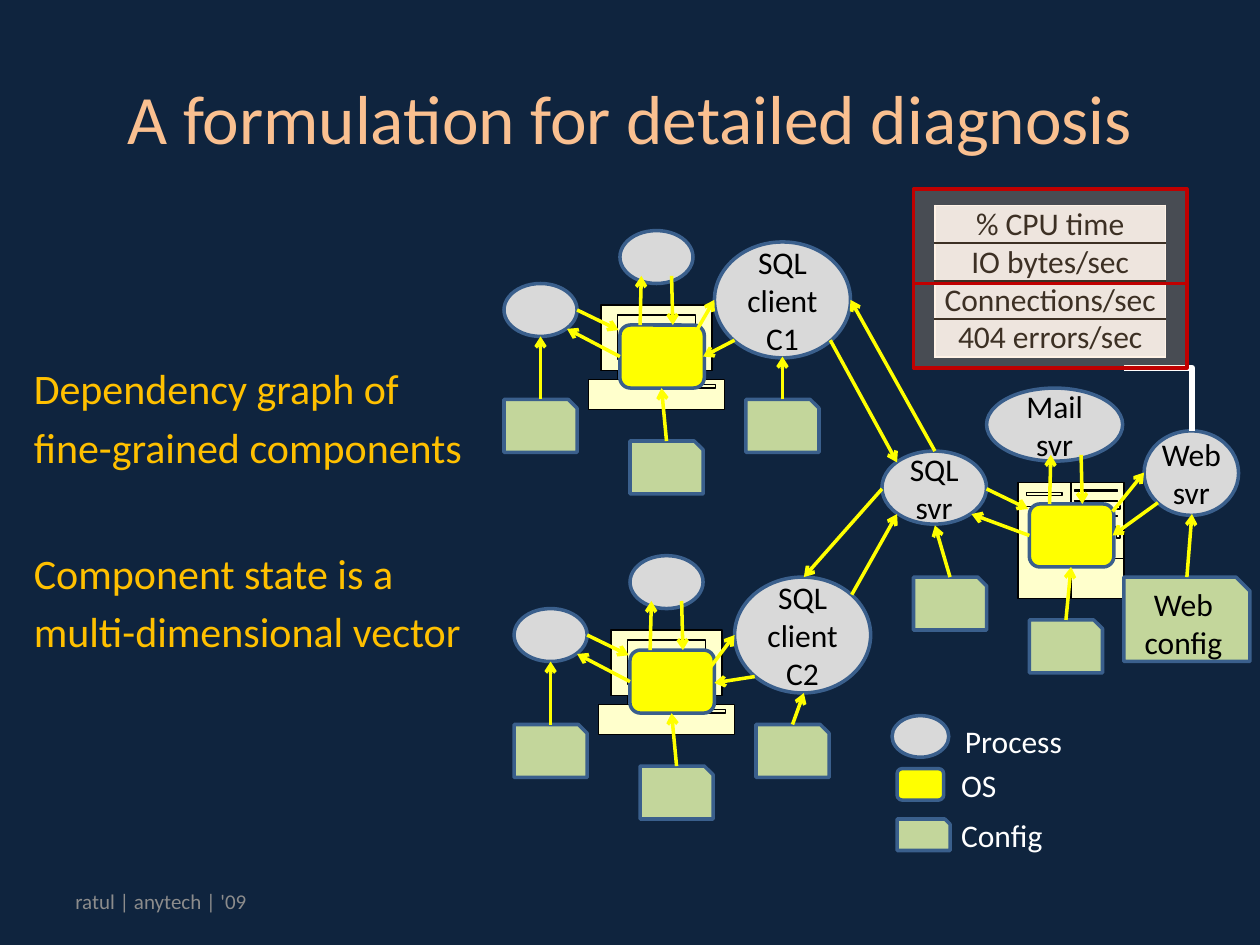
from dataclasses import dataclass

from lxml import etree
from pptx import Presentation
from pptx import util as u
from pptx.dml.color import RGBColor
from pptx.enum import shapes, text
from pptx.oxml.ns import qn

COLORS = {
    "background": "0F243E", "title": "FAC090", "body": "FFC000", "footer": "8C8C8C",
    "process": "D9D9D9", "os": "FFFF00", "config": "C3D69B", "outline": "3A5F8C",
    "machine": "FFFFCC", "cell": "E9EDF4", "group": "FFCC99", "group_line": "C00000",
    "black": "000000", "white": "FFFFFF",
}
PRESETS = {
    "process": shapes.MSO_SHAPE.OVAL,
    "os": shapes.MSO_SHAPE.ROUNDED_RECTANGLE,
    "config": shapes.MSO_SHAPE.SNIP_1_RECTANGLE,
}


@dataclass
class Node:
    kind: str
    left: float
    top: float
    width: float = 0.58
    height: float = 0.42
    label: str = ""


@dataclass
class Edge:
    x1: float
    y1: float
    x2: float
    y2: float


@dataclass
class Label:
    words: str
    left: float
    top: float
    width: float
    height: float
    size: float
    color: str


def rgb(name: str) -> RGBColor:
    return RGBColor.from_string(COLORS[name])


def paint(shape, fill: str, line: str, width: float) -> None:
    shape.shadow.inherit = False
    shape.fill.solid()
    shape.fill.fore_color.rgb = rgb(fill)
    shape.line.color.rgb = rgb(line)
    shape.line.width = u.Pt(width)


def format_text(frame, size: float, color: str, align=None) -> None:
    for paragraph in frame.paragraphs:
        paragraph.alignment = align
        for run in paragraph.runs:
            run.font.name = "Calibri"
            run.font.size = u.Pt(size)
            run.font.color.rgb = rgb(color)


def draw_label(slide, label: Label, wrap: bool = True):
    box = slide.shapes.add_textbox(u.Inches(label.left), u.Inches(label.top),
                                   u.Inches(label.width), u.Inches(label.height))
    frame = box.text_frame
    frame.word_wrap = wrap
    frame.text = label.words
    format_text(frame, label.size, label.color)
    return frame


def draw_node(slide, node: Node, dx: float = 0, dy: float = 0) -> None:
    shape = slide.shapes.add_shape(
        PRESETS[node.kind], u.Inches(node.left + dx), u.Inches(node.top + dy),
        u.Inches(node.width), u.Inches(node.height))
    paint(shape, node.kind, "outline", 2)
    if node.label:
        frame = shape.text_frame
        frame.word_wrap = True
        frame.vertical_anchor = text.MSO_ANCHOR.MIDDLE
        if node.kind == "process":
            frame.margin_left = frame.margin_right = 0
            frame.margin_top = frame.margin_bottom = 0
        frame.text = node.label
        format_text(frame, 18, "black", text.PP_ALIGN.CENTER)


def draw_connector(slide, kind, edge: Edge, color: str, width: float):
    link = slide.shapes.add_connector(kind, u.Inches(edge.x1), u.Inches(edge.y1),
                                      u.Inches(edge.x2), u.Inches(edge.y2))
    link.line.color.rgb = rgb(color)
    link.line.width = u.Pt(width)
    etree.SubElement(link._element.spPr, qn("a:effectLst"))
    return link


def draw_edge(slide, edge: Edge, dx: float = 0, dy: float = 0) -> None:
    moved = Edge(edge.x1 + dx, edge.y1 + dy, edge.x2 + dx, edge.y2 + dy)
    link = draw_connector(slide, shapes.MSO_CONNECTOR.STRAIGHT, moved, "os", 2)
    etree.SubElement(link.line._get_or_add_ln(), qn("a:tailEnd"), type="arrow")


def box_points(left: float, top: float, width: float, height: float) -> list:
    right, bottom = left + width, top + height
    return [(left, top), (right, top), (right, bottom), (left, bottom), (left, top)]


def draw_contours(slide, contours: list, filled: bool, dx: float = 0, dy: float = 0) -> None:
    moved = [[(u.Inches(x + dx), u.Inches(y + dy)) for x, y in c] for c in contours]
    builder = slide.shapes.build_freeform(*moved[0][0], scale=1.0)
    builder.add_line_segments(moved[0][1:], close=filled)
    for contour in moved[1:]:
        builder.move_to(*contour[0])
        builder.add_line_segments(contour[1:], close=filled)
    shape = builder.convert_to_shape()
    paint(shape, "machine", "black", 0.75)
    if not filled:
        shape.fill.background()


def draw_server(slide) -> None:
    draw_contours(slide, [box_points(8.08, 3.83, 0.84, 0.92)], True)
    slots = [box_points(8.53, y, 0.34, 0.01) for y in (3.89, 3.97, 4.09, 4.18)]
    lights = [box_points(8.53 + 0.11 * i, y, 0.03, 0.03) for y in (4.01, 4.24) for i in range(4)]
    panels = [[(8.08, 4.02), (8.5, 4.02), (8.5, 4.43), (8.92, 4.43)],
              [(8.5, 3.83), (8.5, 4.02)], [(8.5, 4.43), (8.5, 4.75)]]
    draw_contours(slide, [box_points(8.15, 3.91, 0.28, 0.02)] + slots + lights + panels, False)


def draw_desktop(slide, dx: float, dy: float) -> None:
    body = [(5.52, 3.01), (5.52, 2.94), (5.65, 2.94), (5.65, 2.42), (4.77, 2.42), (4.77, 2.94),
            (4.9, 2.94), (4.9, 3.01), (4.67, 3.01), (4.67, 3.25), (5.75, 3.25), (5.75, 3.01)]
    draw_contours(slide, [body], True, dx, dy)
    parts = [box_points(4.9, 2.94, 0.62, 0.07), box_points(4.9, 2.5, 0.62, 0.35),
             box_points(5.37, 3.05, 0.31, 0.03)]
    draw_contours(slide, parts, False, dx, dy)


def draw_counters(slide, counters: list) -> None:
    frame = slide.shapes.add_table(len(counters), 1, u.Inches(7.42), u.Inches(1.63),
                                   u.Inches(1.83), u.Inches(0.3 * len(counters)))
    table = frame.table
    table.first_row = table.horz_banding = False
    for i, counter in enumerate(counters):
        cell = table.cell(i, 0)
        cell.margin_left = cell.margin_right = cell.margin_top = cell.margin_bottom = 0
        cell.vertical_anchor = text.MSO_ANCHOR.MIDDLE
        cell.text = counter
        format_text(cell.text_frame, 18, "black", text.PP_ALIGN.CENTER)
        borders = {"lnL": "white", "lnR": "white", "lnT": "black" if i else "white",
                   "lnB": "black" if i < len(counters) - 1 else "white"}
        for side, color in borders.items():
            line = etree.SubElement(cell._tc.get_or_add_tcPr(), qn(f"a:{side}"), w="12700")
            solid = etree.SubElement(line, qn("a:solidFill"))
            etree.SubElement(solid, qn("a:srgbClr"), val=COLORS[color])
        cell.fill.solid()
        cell.fill.fore_color.rgb = rgb("cell")


def draw_counter_group(slide, top: float, height: float) -> None:
    group = slide.shapes.add_shape(shapes.MSO_SHAPE.RECTANGLE, u.Inches(7.25), u.Inches(top),
                                   u.Inches(2.17), u.Inches(height))
    paint(group, "group", "group_line", 2)
    tint = group._element.spPr.find(qn("a:solidFill"))[0]
    etree.SubElement(tint, qn("a:alpha"), val="24000")


CLIENT_OFFSETS = [(0, 0), (0.08, 2.58)]
CLIENT_NODES = [Node("os", 4.92, 2.58, 0.67, 0.5), Node("process", 4, 2.25),
                Node("process", 4.92, 1.83), Node("config", 5, 3.5),
                Node("config", 5.92, 3.17), Node("config", 4, 3.17)]
CLIENT_EDGES = [Edge(5.08, 2.58, 5.09, 2.19), Edge(5.33, 2.19, 5.34, 2.58),
                Edge(4.58, 2.46, 4.91, 2.62), Edge(4.92, 2.83, 4.5, 2.61),
                Edge(4.29, 3.17, 4.29, 2.67), Edge(5.29, 3.5, 5.25, 3.08)]
NODES = [Node("os", 8.17, 4, 0.67, 0.5), Node("process", 7, 3.58, 0.83, 0.58, "SQL svr"),
         Node("process", 7.83, 3.08, 1.08, 0.58, "Mail\vsvr"),
         Node("process", 9.08, 3.42, 0.75, 0.67, "Web svr"), Node("config", 8.17, 4.92),
         Node("config", 8.92, 4.58, 1, 0.67, "Web config"), Node("config", 7.25, 4.58),
         Node("process", 5.67, 1.92, 1.08, 0.92, "SQL client C1"),
         Node("process", 5.83, 4.58, 1.08, 0.92, "SQL client C2"),
         Node("process", 7.08, 5.68, 0.45, 0.33), Node("os", 7.12, 6.1, 0.37, 0.25),
         Node("config", 7.12, 6.5, 0.42, 0.25)]
EDGES = [Edge(8.83, 4.06, 9.08, 3.75), Edge(9.19, 3.99, 8.83, 4.25), Edge(8.33, 4, 8.34, 3.61),
         Edge(8.58, 3.61, 8.59, 4), Edge(7.83, 3.88, 8.16, 4.04), Edge(8.17, 4.25, 7.71, 4.08),
         Edge(7.54, 4.58, 7.42, 4.17), Edge(9.42, 4.58, 9.46, 4.08), Edge(8.46, 4.92, 8.5, 4.5),
         Edge(5.42, 2.81, 5.67, 2.38), Edge(5.83, 2.7, 5.58, 2.83), Edge(6.21, 3.17, 6.21, 2.83),
         Edge(5.5, 5.48, 5.83, 5.04), Edge(5.99, 5.37, 5.67, 5.42), Edge(6.29, 5.75, 6.38, 5.5),
         Edge(7.42, 3.58, 6.75, 2.38), Edge(6.59, 2.7, 7.12, 3.67),
         Edge(7, 3.88, 6.38, 4.58), Edge(6.76, 4.72, 7.12, 4.08)]
LEGEND = [Label("Process", 7.56, 5.68, 0.98, 0.4, 18, "white"),
          Label("OS", 7.53, 6.03, 0.48, 0.4, 18, "white"),
          Label("Config", 7.53, 6.43, 0.86, 0.4, 18, "white")]


def main() -> None:
    deck = Presentation()
    deck.slide_width, deck.slide_height = u.Inches(10), u.Inches(7.5)
    slide = deck.slides.add_slide(deck.slide_layouts[5])
    slide.background.fill.solid()
    slide.background.fill.fore_color.rgb = rgb("background")
    title = slide.shapes.title
    title.left, title.top, title.width, title.height = map(u.Inches, (0.5, 0.3, 9, 1.25))
    title.text_frame.text = "A formulation for detailed diagnosis"
    format_text(title.text_frame, 39.6, "title", text.PP_ALIGN.CENTER)
    points = draw_label(slide, Label(
        "Dependency graph of\nfine-grained components\nComponent state is a\nmulti-dimensional vector",
        0.17, 2.83, 3.83, 3, 24, "body"))
    for paragraph, gap in zip(points.paragraphs, (4.8, 4.8, 43, 4.8)):
        paragraph.space_before = u.Pt(gap)
    footer = draw_label(slide, Label("ratul | anytech | '09", 0.5, 6.95, 3.33, 0.4, 12, "footer"))
    footer.vertical_anchor = text.MSO_ANCHOR.MIDDLE
    draw_server(slide)
    for dx, dy in CLIENT_OFFSETS:
        draw_desktop(slide, dx, dy)
        for node in CLIENT_NODES:
            draw_node(slide, node, dx, dy)
    for node in NODES:
        draw_node(slide, node)
    for dx, dy in CLIENT_OFFSETS:
        for edge in CLIENT_EDGES:
            draw_edge(slide, edge, dx, dy)
    for edge in EDGES:
        draw_edge(slide, edge)
    for label in LEGEND:
        draw_label(slide, label, wrap=False)
    draw_counters(slide, ["% CPU time", "IO bytes/sec", "Connections/sec", "404 errors/sec"])
    elbow = draw_connector(slide, shapes.MSO_CONNECTOR.ELBOW, Edge(8.92, 2.92, 9.46, 3.42), "white", 3.75)
    elbow._element.spPr.find(qn("a:prstGeom")).set("prst", "bentConnector2")
    draw_counter_group(slide, 2.25, 0.67)
    draw_counter_group(slide, 1.5, 0.75)
    deck.save("out.pptx")


if __name__ == "__main__":
    main()
